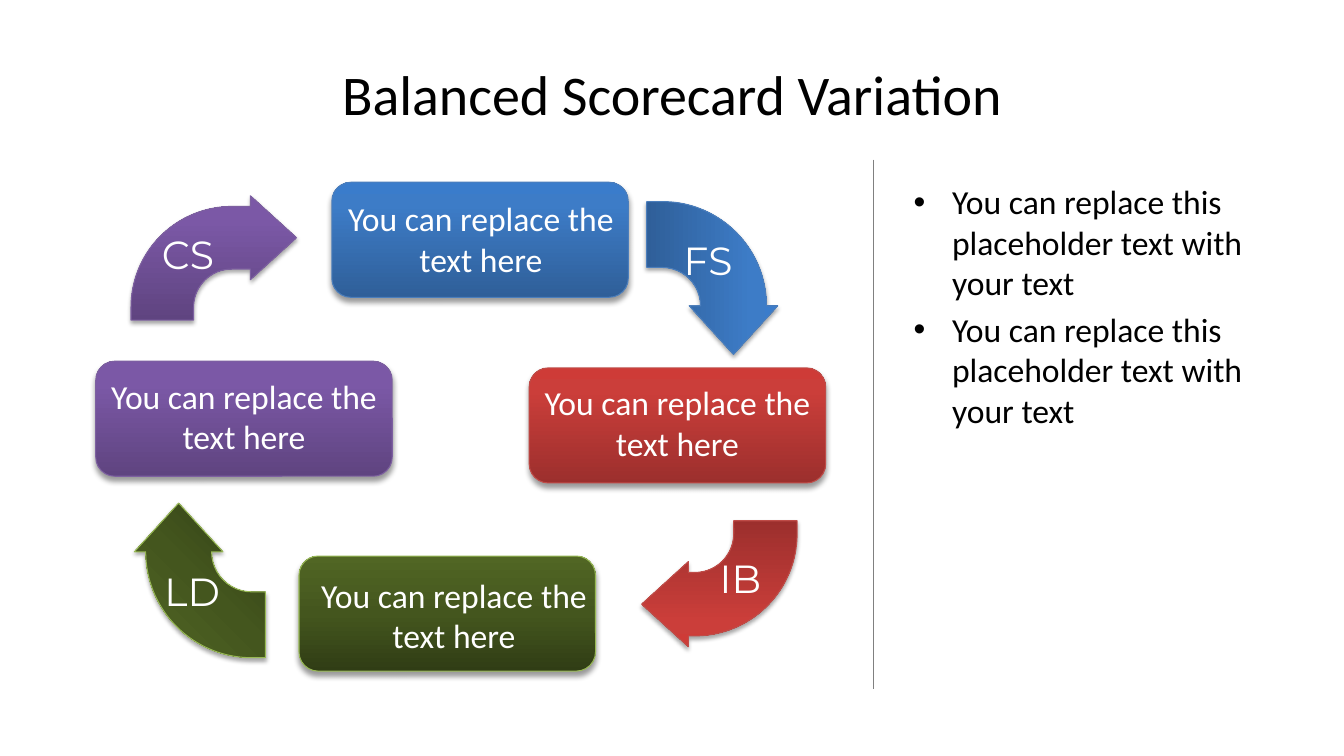
from lxml import etree
from pptx import Presentation
from pptx.dml.color import RGBColor
from pptx.enum.shapes import MSO_CONNECTOR, MSO_SHAPE
from pptx.enum.text import MSO_ANCHOR, MSO_AUTO_SIZE, PP_ALIGN
from pptx.oxml import parse_xml
from pptx.oxml.ns import qn
from pptx.util import Inches, Pt

ROUND, BENT = MSO_SHAPE.ROUNDED_RECTANGLE, MSO_SHAPE.BENT_ARROW
LEFT, CENTER = PP_ALIGN.LEFT, PP_ALIGN.CENTER
TOP, MIDDLE = MSO_ANCHOR.TOP, MSO_ANCHOR.MIDDLE
FIT = MSO_AUTO_SIZE.SHAPE_TO_FIT_TEXT
STRAIGHT = MSO_CONNECTOR.STRAIGHT

# Grid of 160 columns by 90 rows
COLS, ROWS = 160, 90
WIDE, HIGH = Inches(13.333), Inches(7.5)

COLOR = {"black": "000000", "white": "FFFFFF", "gray": "808080",
         "purple": "7D60A0", "blue": "4B7EBC", "red": "BF4C48", "green": "98B955"}
# Share of the way and colour of each gradient stop
BLEND = {
    "purple": {0: "5F4480", 80: "7B58A6", 100: "7C57A8"},
    "blue": {0: "2F5F99", 80: "3D7CC7", 100: "3A7CCB"},
    "red": {0: "9C2F2D", 80: "CB3E3A", 100: "CE3B37"},
    "green": {0: "303D15", 50: "44561E", 100: "516624"},
}
BEND = (0.503, 0.338, 0.371, 0.811)
BOX = (35.3, 13.7)
NOTE = (35.3, 12.4)
BOX_TEXT = "You can replace the text here"
SIDE_TEXT = "You can replace this placeholder text with your text"

# Colour, box spot, note spot, arrow area, turn, flip, gradient angle, tag, tag spot, tag width
STEPS = [
    ("purple", (11.4, 43), (11.4, 44.1), (15.6, 23.3, 19.7, 14.8), 0, False, 270,
     "CS", (18.1, 26.8), 10.8),
    ("blue", (39.5, 21.7), (39.6, 23), (75.7, 25.3, 18.2, 15.6), 270, True, 270,
     "FS", (80.2, 27.5), 10.2),
    ("red", (63, 43.8), (63, 44.9), (76.4, 62, 18.5, 15), 0, True, 270,
     "IB", (84.5, 65.4), 9),
    ("green", (35.6, 66.2), (36.4, 67.8), (14.6, 61.3, 18.4, 15.6), 270, False, 225,
     "LD", (18.4, 67), 10.4),
]


def area(x, y, w, h):
    return [int(WIDE * x / COLS), int(HIGH * y / ROWS),
            int(WIDE * w / COLS), int(HIGH * h / ROWS)]


def paint(shape, hue, angle, alpha, blur, dist):
    """Gradient fill, thin outline and soft shadow below."""
    shape.line.color.rgb = RGBColor.from_string(COLOR[hue])
    shape.line.width = Pt(0.75)
    stops = "".join(
        f'<a:gs pos="{share * 1000}"><a:srgbClr val="{tone}"/></a:gs>'
        for share, tone in BLEND[hue].items())
    space = 'xmlns:a="http://schemas.openxmlformats.org/drawingml/2006/main"'
    props = shape._element.spPr
    props.find(qn("a:ln")).addprevious(parse_xml(
        f'<a:gradFill {space} rotWithShape="1"><a:gsLst>{stops}</a:gsLst>'
        f'<a:lin ang="{angle * 60000}" scaled="0"/></a:gradFill>'))
    shape.shadow.inherit = False
    props.find(qn("a:effectLst")).append(parse_xml(
        f'<a:outerShdw {space} blurRad="{Pt(blur)}" dist="{Pt(dist)}" dir="5400000" '
        f'rotWithShape="0"><a:srgbClr val="{COLOR["black"]}">'
        f'<a:alpha val="{alpha * 1000}"/></a:srgbClr></a:outerShdw>'))


def box(shapes, spot, hue):
    shape = shapes.add_shape(ROUND, *area(*spot, *BOX))
    paint(shape, hue, 270, 40, 4, 3)


def arrow(shapes, place, hue, turn, flip, angle):
    shape = shapes.add_shape(BENT, *area(*place))
    for i, share in enumerate(BEND):
        shape.adjustments[i] = share
    shape.rotation = turn
    if flip:
        frame = shape._element.spPr.get_or_add_xfrm()
        frame.set("flipH", "1")
        frame.set("flipV", "1")
    paint(shape, hue, angle, 35, 3.1, 1.8)


def write(shapes, place, lines, size, hue, face="Calibri", align=CENTER,
          anchor=TOP, wrap=True, fit=False, dots=False):
    frame = shapes.add_textbox(*area(*place)).text_frame
    frame.word_wrap = wrap
    frame.vertical_anchor = anchor
    if fit:
        frame.auto_size = FIT
    for i, line in enumerate(lines):
        para = frame.paragraphs[0] if i == 0 else frame.add_paragraph()
        para.alignment = align
        if i:
            para.space_before = Pt(size * 0.2)
        if dots:
            props = para._p.get_or_add_pPr()
            props.set("marL", str(Inches(0.38)))
            props.set("indent", str(-Inches(0.38)))
            etree.SubElement(props, qn("a:buFont")).set("typeface", "Arial")
            etree.SubElement(props, qn("a:buChar")).set("char", "•")
        run = para.add_run()
        run.text = line
        run.font.name = face
        run.font.size = Pt(size)
        run.font.color.rgb = RGBColor.from_string(COLOR[hue])


def rule(shapes, x, top, end):
    left, start, _, drop = area(x, top, 0, end - top)
    line = shapes.add_connector(STRAIGHT, left, start, left, start + drop)
    line.line.color.rgb = RGBColor.from_string(COLOR["gray"])
    line.line.width = Pt(0.75)
    etree.SubElement(line._element.spPr, qn("a:effectLst"))


def step(shapes, hue, spot, note, bend, turn, flip, angle, tag, mark, width):
    """One box with its note, arrow and tag, as a group."""
    group = shapes.add_group_shape().shapes
    box(group, spot, hue)
    write(group, (*note, *NOTE), [BOX_TEXT], 24, "white", fit=True)
    arrow(group, bend, hue, turn, flip, angle)
    write(group, (*mark, width, 7.8), [tag], 28, "white", face="Montserrat",
          align=LEFT, wrap=False, fit=True)


def main():
    deck = Presentation()
    deck.slide_width, deck.slide_height = WIDE, HIGH
    shapes = deck.slides.add_slide(deck.slide_layouts[6]).shapes

    # Title and side text
    write(shapes, (8, 3.6, 144, 15), ["Balanced Scorecard Variation"], 40, "black",
          anchor=MIDDLE)
    write(shapes, (107.6, 21, 44.4, 61), [SIDE_TEXT] * 2, 24, "black",
          align=LEFT, dots=True)
    rule(shapes, 104, 19, 82)

    # Cycle of four steps
    for parts in STEPS:
        step(shapes, *parts)

    deck.save("out.pptx")


if __name__ == "__main__":
    main()
